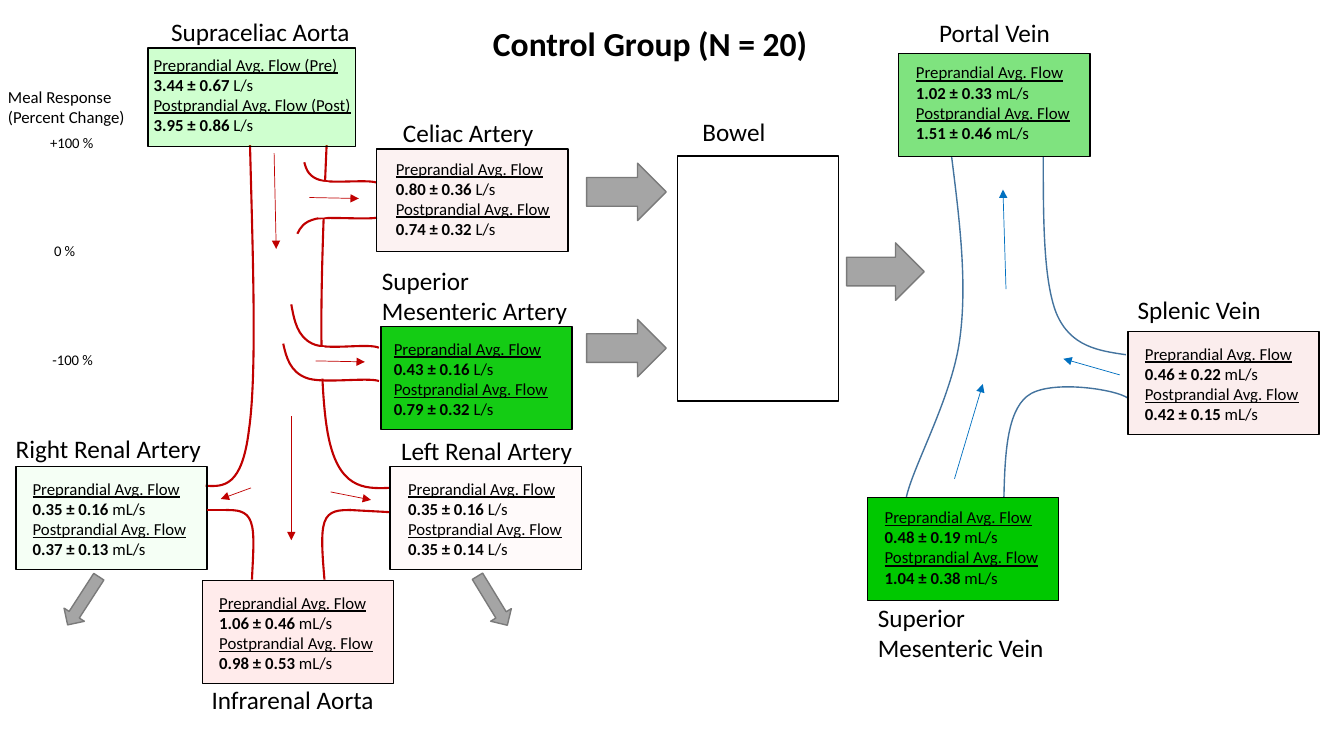
from dataclasses import dataclass

from lxml.etree import SubElement
from pptx import Presentation
from pptx.dml.color import RGBColor
from pptx.enum.shapes import MSO_CONNECTOR, MSO_SHAPE
from pptx.enum.text import MSO_ANCHOR, PP_ALIGN
from pptx.oxml.ns import qn
from pptx.util import Pt


@dataclass(frozen=True)
class Theme:
    font: str = "Calibri"
    title_size: float = 24
    label_size: float = 18
    flow_size: float = 12
    scale_size: float = 10.5
    black: str = "000000"
    white: str = "FFFFFF"
    artery: str = "C00000"
    vein: str = "43739E"
    vein_arrow: str = "0070C0"
    gray: str = "A5A5A5"
    gray_edge: str = "7A7A7A"
    dark_red: str = "C80000"
    red: str = "FF0000"
    dark_green: str = "00C800"
    green: str = "00FF00"


theme = Theme()
presentation = Presentation()
presentation.slide_width, presentation.slide_height = Pt(960), Pt(540)
slide = presentation.slides.add_slide(presentation.slide_layouts[5])
shapes = slide.shapes


def style(shape, line=None, width=1, fill=None, opacity=100):
    """Set outline and fill; opacity is in percent."""
    shape.shadow.inherit = False
    if line is None:
        shape.line.fill.background()
    else:
        shape.line.color.rgb = RGBColor.from_string(line)
        shape.line.width = Pt(width)
    if fill is None:
        shape.fill.background()
        return
    shape.fill.solid()
    shape.fill.fore_color.rgb = RGBColor.from_string(fill)
    if opacity < 100:
        color = shape.fill._xPr.find(qn("a:solidFill"))[0]
        SubElement(color, qn("a:alpha"), val=str(opacity * 1000))


def add_text(box, size, lines):
    """Add a wrapping text box with one paragraph per line."""
    frame = shapes.add_textbox(*map(Pt, box)).text_frame
    frame.word_wrap = True
    frame.text = "\n".join(lines)
    for paragraph in frame.paragraphs:
        paragraph.font.name = theme.font
        paragraph.font.size = Pt(size)
        paragraph.font.color.rgb = RGBColor.from_string(theme.black)
    return frame


# Title
title = shapes.title
title.left, title.top, title.width, title.height = map(Pt, (344.9, 13, 249.1, 36))
title.text_frame.text = "Control Group (N = 20)"
title.text_frame.vertical_anchor = MSO_ANCHOR.TOP
heading = title.text_frame.paragraphs[0]
heading.alignment = PP_ALIGN.LEFT
heading.font.name = theme.font
heading.font.size = Pt(theme.title_size)
heading.font.bold = True
heading.font.color.rgb = RGBColor.from_string(theme.black)

# Vessel walls: a start point, then two Bézier segments of three points each
artery_walls = [
    [(178.6, 103.7), (180.7, 185.8), (183.6, 267.1), (177.8, 307.4), (172.8, 347.8), (159.8, 347.8), (146.9, 347)],
    [(233.3, 103.7), (229.7, 185.8), (226.8, 267.8), (234, 308.9), (241.2, 349.2), (259.9, 349.2), (277.9, 348.5)],
    [(217.4, 115.9), (218.9, 121.7), (221, 126.7), (229.7, 128.9), (238.3, 131), (262.1, 128.2), (268.6, 130.3)],
    [(212.4, 167), (214.6, 162.7), (216.7, 158.4), (226.1, 156.2), (235.4, 154.8), (262.1, 157), (269.3, 155.5)],
    [(208.1, 217.4), (210.2, 229), (212.4, 240.5), (223.2, 245.5), (233.3, 250.6), (262.8, 244.8), (270.7, 248.4)],
    [(202.3, 245.5), (204.5, 255.6), (207.4, 265.7), (218.9, 270), (230.4, 274.3), (262.1, 269.3), (270.7, 272.2)],
    [(180, 414), (180.7, 397.4), (182.2, 380.9), (179.3, 373), (176.4, 364.3), (168.5, 364.3), (161.3, 364.3)],
    [(231.8, 414), (230.4, 397.4), (229, 380.9), (231.8, 373), (234.7, 364.3), (242.6, 364.3), (250.6, 364.3)],
]
vein_walls = [
    [(717.1, 355.7), (717.8, 324.7), (719.3, 294.5), (733.7, 283), (748.8, 270.7), (797, 277.9), (805.7, 284.4)],
    [(745.2, 111.6), (745.2, 156.2), (745.2, 200.2), (754.6, 223.9), (764.6, 247.7), (784.8, 250.6), (804.2, 253.4)],
    [(679.7, 111.6), (685.4, 157), (691.2, 203), (685.4, 243.4), (679.7, 284.4), (651.6, 334.1), (647.3, 355.7)],
]
for walls, color, width in [(vein_walls, theme.vein, 1), (artery_walls, theme.artery, 1.5)]:
    for wall in walls:
        builder = shapes.build_freeform(*map(Pt, wall[0]))
        builder.add_line_segments([tuple(map(Pt, point)) for point in wall[1:]], close=False)
        vessel = builder.convert_to_shape()
        style(vessel, color, width)
        # Turn each three straight steps into one curve
        outline = next(vessel._element.iter(qn("a:path")))
        straight = outline.findall(qn("a:lnTo"))
        for first in (0, 3):
            curve = SubElement(outline, qn("a:cubicBezTo"))
            for step in straight[first:first + 3]:
                curve.append(step[0])
                outline.remove(step)

# Bowel and block arrows
style(shapes.add_shape(MSO_SHAPE.RECTANGLE, *map(Pt, (483.8, 111.4, 115.2, 175))), theme.black)
for box, angle in [
    ((419, 116.6, 56.9, 41), 0),
    ((419, 228.2, 56.9, 41), 0),
    ((604.8, 173.5, 55.4, 41), 0),
    ((38.9, 420.5, 41, 17.3), 122.9),
    ((331.2, 420.5, 41, 17.3), 58.6),
]:
    arrow = shapes.add_shape(MSO_SHAPE.RIGHT_ARROW, *map(Pt, box))
    arrow.rotation = angle
    style(arrow, theme.gray_edge, 1, theme.gray)

# Flow boxes: box, text position and width, fill, opacity, readings, unit
box_size = (136.6, 73.4)
wide_width, celiac_width = 160.6, 128.9
for box, text_box, fill, opacity, readings, unit in [
    ((805.7, 236.9, *box_size), (810.7, 241.9, 132.5), theme.dark_red, 7, ("0.46 ± 0.22", "0.42 ± 0.15"), "mL/s"),
    ((619.7, 355.5, *box_size), (624.8, 358.4, 132.5), theme.dark_green, 100, ("0.48 ± 0.19", "1.04 ± 0.38"), "mL/s"),
    ((269, 106.4, *box_size), (275.6, 109.6, celiac_width), theme.dark_red, 5, ("0.80 ± 0.36", "0.74 ± 0.32"), "L/s"),
    ((272, 233.3, *box_size), (274.2, 238.3, 132.5), theme.dark_green, 92, ("0.43 ± 0.16", "0.79 ± 0.32"), "L/s"),
    ((278.6, 333.4, *box_size), (284.4, 338.4, 132.5), theme.red, 2, ("0.35 ± 0.16", "0.35 ± 0.14"), "L/s"),
    ((11.3, 333.4, *box_size), (16.2, 338.4, 132.5), theme.green, 4, ("0.35 ± 0.16", "0.37 ± 0.13"), "mL/s"),
    ((144.7, 414.7, *box_size), (149.5, 419.8, 132.5), theme.red, 8, ("1.06 ± 0.46", "0.98 ± 0.53"), "mL/s"),
    ((105.8, 34.3, 148.3, 70.4), (102.7, 35.3, wide_width), theme.green, 19, ("3.44 ± 0.67", "3.95 ± 0.86"), "L/s"),
    ((642, 38.2, *box_size), (647.2, 40.8, 132.5), theme.dark_green, 50, ("1.02 ± 0.33", "1.51 ± 0.46"), "mL/s"),
]:
    style(shapes.add_shape(MSO_SHAPE.RECTANGLE, *map(Pt, box)), theme.black, 1, fill, opacity)
    captions = ["Preprandial Avg. Flow", "Postprandial Avg. Flow"]
    if text_box[2] == wide_width:
        captions = [captions[0] + " (Pre)", captions[1] + " (Post)"]
    # The celiac readings wrap within the paragraph of their caption
    wraps = text_box[2] == celiac_width
    paragraphs = add_text((*text_box, 66.2), theme.flow_size, [""] * (2 if wraps else 4)).paragraphs
    for index, (caption, reading) in enumerate(zip(captions, readings)):
        caption_paragraph = paragraphs[index if wraps else 2 * index]
        value_paragraph = caption_paragraph if wraps else paragraphs[2 * index + 1]
        label = caption_paragraph.add_run()
        label.text = caption + (" " if wraps else "")
        label.font.underline = True
        value = value_paragraph.add_run()
        value.text = reading + " "
        value.font.bold = True
        value_paragraph.add_run().text = unit

# White openings where the branches leave the aorta
for edge, opening in [
    (None, [(229, 129.6), (234.7, 130.3), (234, 154.8), (231.1, 155.5), (227.5, 155.5)]),
    (theme.white, [(227.5, 248.4), (231.1, 248.4), (233.3, 270), (227.5, 270)]),
]:
    builder = shapes.build_freeform(*map(Pt, opening[0]))
    builder.add_line_segments([tuple(map(Pt, point)) for point in opening[1:]])
    style(builder.convert_to_shape(), edge, 1, theme.white)

# Vessel names and response scale
for text, box, size in [
    ("Supraceliac Aorta", (115.2, 8.3, 149.8, 29), theme.label_size),
    ("Celiac Artery", (280.8, 79.9, 115.2, 29), theme.label_size),
    ("Infrarenal Aorta", (144, 485.3, 137.5, 29), theme.label_size),
    ("Left Renal Artery", (279.4, 307.4, 156.2, 29), theme.label_size),
    ("Right Renal Artery", (4.1, 306, 156.2, 29), theme.label_size),
    ("Superior Mesenteric Artery", (265.7, 185.8, 156.2, 51), theme.label_size),
    ("Bowel", (494.6, 79.2, 61.2, 29), theme.label_size),
    ("Portal Vein", (663.8, 8.6, 98.6, 29), theme.label_size),
    ("Superior Mesenteric Vein", (619.9, 426.8, 143.3, 51), theme.label_size),
    ("Splenic Vein", (805.5, 206.6, 103, 29), theme.label_size),
    ("Meal Response (Percent Change)", (-1.4, 58.3, 104.4, 36), theme.flow_size),
    ("0 %", (31.5, 169.2, 37.4, 20.9), theme.scale_size),
    ("-100 %", (30.4, 247, 46.1, 20.2), theme.scale_size),
    ("+100 %", (28.8, 92.2, 46.1, 20.2), theme.scale_size),
]:
    add_text(box, size, [text])

# Flow direction arrows and short renal wall pieces
for ends, color, width, arrowhead in [
    ((249.8, 364.3, 277.9, 365.8), theme.artery, 1.5, False),
    ((147.6, 364.3, 164.9, 364.3), theme.artery, 1.5, False),
    ((195.8, 109.4, 197.3, 177.8), theme.artery, 0.5, True),
    ((208.1, 297.4, 208.1, 385.9), theme.artery, 0.5, True),
    ((221, 141.1, 256.3, 141.8), theme.artery, 0.5, True),
    ((225.4, 257.8, 260.6, 258.5), theme.artery, 0.5, True),
    ((179.3, 348.5, 157.7, 356.4), theme.artery, 0.5, True),
    ((236.2, 351.4, 265, 357.1), theme.artery, 0.5, True),
    ((681.8, 342, 702, 274.3), theme.vein_arrow, 0.5, True),
    ((799.9, 267.8, 759.6, 256.3), theme.vein_arrow, 0.5, True),
    ((718.6, 206.6, 716.4, 135.4), theme.vein_arrow, 0.5, True),
]:
    connector = shapes.add_connector(MSO_CONNECTOR.STRAIGHT, *map(Pt, ends))
    connector.line.color.rgb = RGBColor.from_string(color)
    connector.line.width = Pt(width)
    if arrowhead:
        SubElement(connector.line._get_or_add_ln(), qn("a:tailEnd"), type="triangle")
    SubElement(connector._element.spPr, qn("a:effectLst"))

presentation.save("out.pptx")
